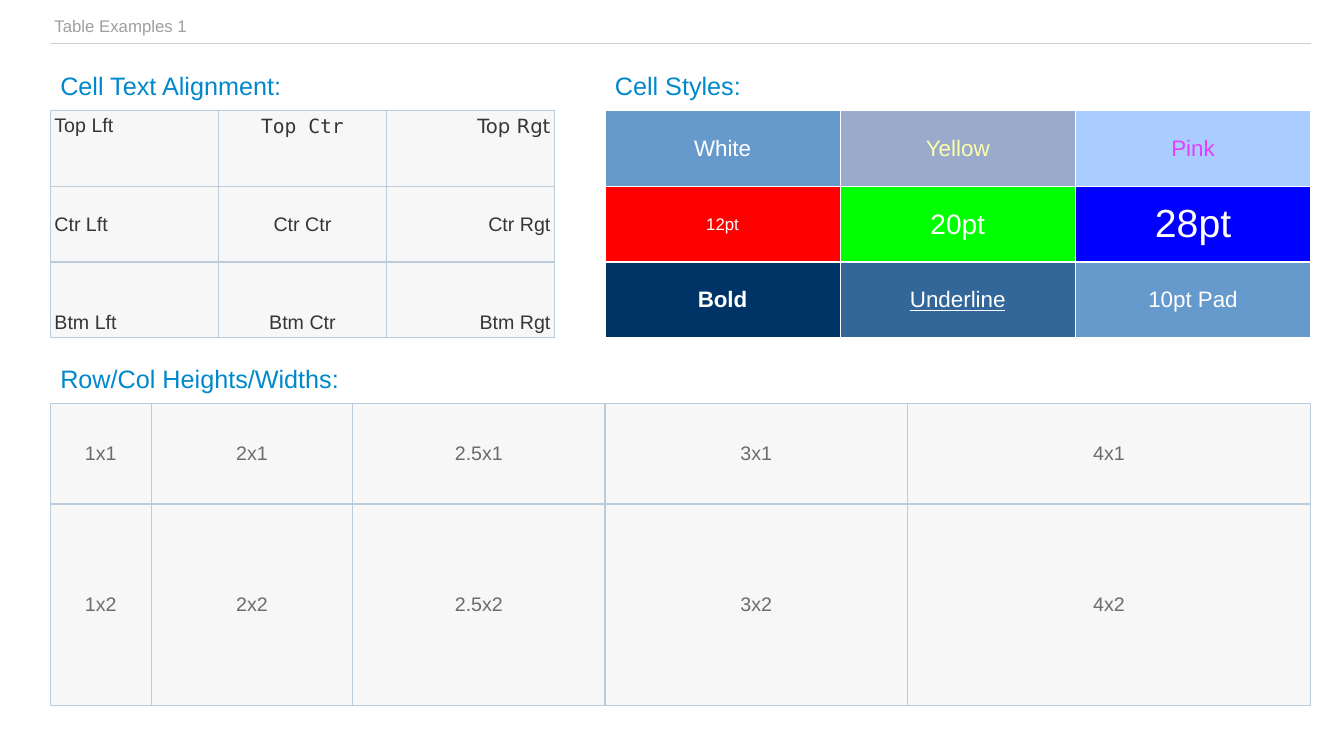
from dataclasses import dataclass

from lxml.etree import SubElement
from pptx import Presentation
from pptx.dml.color import RGBColor
from pptx.enum.text import MSO_ANCHOR, PP_ALIGN
from pptx.oxml.ns import qn
from pptx.util import Inches, Pt


@dataclass(frozen=True)
class Theme:
    font: str = "Arial"
    mono: str = "DejaVu Sans Mono"
    sans: str = "DejaVu Sans"
    title: str = "9F9F9F"
    title_rule: str = "CFCFCF"
    heading: str = "0088CC"
    grid: str = "BBCCDD"
    panel: str = "F7F7F7"
    dark: str = "363636"
    grey: str = "6C6C6C"
    white: str = "FFFFFF"
    yellow: str = "FFFFAA"
    pink: str = "E140FE"
    red: str = "FF0000"
    green: str = "00FF00"
    blue: str = "0000FF"
    sky: str = "6699CC"
    lavender: str = "99AACC"
    pale: str = "AACCFF"
    navy: str = "003366"
    steel: str = "336699"
    small: int = 12
    body: int = 14
    style: int = 16
    head: int = 18
    large: int = 20
    huge: int = 28


THEME = Theme()
ALL_SIDES = ("L", "R", "T", "B")


@dataclass(frozen=True)
class CellLook:
    text: str
    size: int
    color: str
    fill: str | None = None
    align: PP_ALIGN = PP_ALIGN.CENTER
    anchor: MSO_ANCHOR = MSO_ANCHOR.MIDDLE
    font: str = THEME.font
    bold: bool = False
    underline: bool = False


def add_span(para, text, size, color, font=THEME.font):
    span = para.add_run()
    span.text = text
    span.font.name = font
    span.font.size = Pt(size)
    span.font.color.rgb = RGBColor.from_string(color)
    return span


def add_heading(page, text, left, top):
    box = page.shapes.add_textbox(Inches(left), Inches(top), Inches(10), Inches(0.3))
    box.text_frame.word_wrap = True
    box.text_frame.vertical_anchor = MSO_ANCHOR.MIDDLE
    add_span(box.text_frame.paragraphs[0], text, THEME.head, THEME.heading)


def set_borders(cell, color, sides):
    """Draw 1 pt lines on the given sides and clear the others."""
    properties = cell._tc.get_or_add_tcPr()
    for side in ALL_SIDES:
        line = SubElement(properties, qn(f"a:ln{side}"), w=str(Pt(1)))
        if side in sides:
            fill = SubElement(line, qn("a:solidFill"))
            SubElement(fill, qn("a:srgbClr"), val=color)
        else:
            SubElement(line, qn("a:noFill"))


def fill_cell(cell, look):
    cell.margin_left = cell.margin_right = Inches(0.04)
    cell.margin_top = cell.margin_bottom = Inches(0.04)
    cell.vertical_anchor = look.anchor
    if look.fill:
        cell.fill.solid()
        cell.fill.fore_color.rgb = RGBColor.from_string(look.fill)
    else:
        cell.fill.background()
    para = cell.text_frame.paragraphs[0]
    para.alignment = look.align
    span = add_span(para, look.text, look.size, look.color, look.font)
    span.font.bold = look.bold
    span.font.underline = look.underline


def add_grid(page, left, top, widths, heights, looks, border, sides=ALL_SIDES):
    frame = page.shapes.add_table(
        len(heights), len(widths), Inches(left), Inches(top),
        Inches(sum(widths)), Inches(sum(heights)))
    table = frame.table
    table.first_row = table.horz_banding = False
    for column, width in zip(table.columns, widths):
        column.width = Inches(width)
    for row, height, row_looks in zip(table.rows, heights, looks):
        row.height = Inches(height)
        for cell, look in zip(row.cells, row_looks):
            set_borders(cell, border, sides)
            fill_cell(cell, look)


def add_title(page):
    look = CellLook("Table Examples 1", THEME.small, THEME.title,
                    align=PP_ALIGN.LEFT, anchor=MSO_ANCHOR.TOP)
    add_grid(page, 0.5, 0.13, [12.5], [0.3], [[look]], THEME.title_rule, ("B",))


def add_alignment_table(page):
    rows = {"Top": MSO_ANCHOR.TOP, "Ctr": MSO_ANCHOR.MIDDLE, "Btm": MSO_ANCHOR.BOTTOM}
    columns = {"Lft": PP_ALIGN.LEFT, "Ctr": PP_ALIGN.CENTER, "Rgt": PP_ALIGN.RIGHT}
    fonts = {"Top Ctr": THEME.mono, "Top Rgt": THEME.sans}
    looks = [
        [CellLook(f"{row} {column}", THEME.body, THEME.dark, THEME.panel, align, anchor,
                  fonts.get(f"{row} {column}", THEME.font))
         for column, align in columns.items()]
        for row, anchor in rows.items()
    ]
    add_grid(page, 0.5, 1.1, [5 / 3] * 3, [0.75] * 3, looks, THEME.grid)


def add_style_table(page):
    looks = [
        [CellLook("White", THEME.style, THEME.white, THEME.sky),
         CellLook("Yellow", THEME.style, THEME.yellow, THEME.lavender),
         CellLook("Pink", THEME.style, THEME.pink, THEME.pale)],
        [CellLook("12pt", THEME.small, THEME.white, THEME.red),
         CellLook("20pt", THEME.large, THEME.white, THEME.green),
         CellLook("28pt", THEME.huge, THEME.white, THEME.blue)],
        [CellLook("Bold", THEME.style, THEME.white, THEME.navy, bold=True),
         CellLook("Underline", THEME.style, THEME.white, THEME.steel, underline=True),
         CellLook("10pt Pad", THEME.style, THEME.white, THEME.sky)],
    ]
    add_grid(page, 6, 1.1, [7 / 3] * 3, [0.75] * 3, looks, THEME.white)


def add_size_table(page):
    """Each cell names its own width and height."""
    widths, heights = [1, 2, 2.5, 3, 4], [1, 2]
    looks = [[CellLook(f"{width}x{height}", THEME.body, THEME.grey, THEME.panel)
              for width in widths] for height in heights]
    add_grid(page, 0.5, 4, widths, heights, looks, THEME.grid)


def main():
    deck = Presentation()
    deck.slide_width, deck.slide_height = Inches(13.33), Inches(7.5)
    page = deck.slides.add_slide(deck.slide_layouts[6])
    add_title(page)
    add_heading(page, "Cell Text Alignment:", 0.5, 0.7)
    add_alignment_table(page)
    add_heading(page, "Cell Styles:", 6, 0.7)
    add_style_table(page)
    add_heading(page, "Row/Col Heights/Widths:", 0.5, 3.6)
    add_size_table(page)
    deck.save("out.pptx")


if __name__ == "__main__":
    main()
